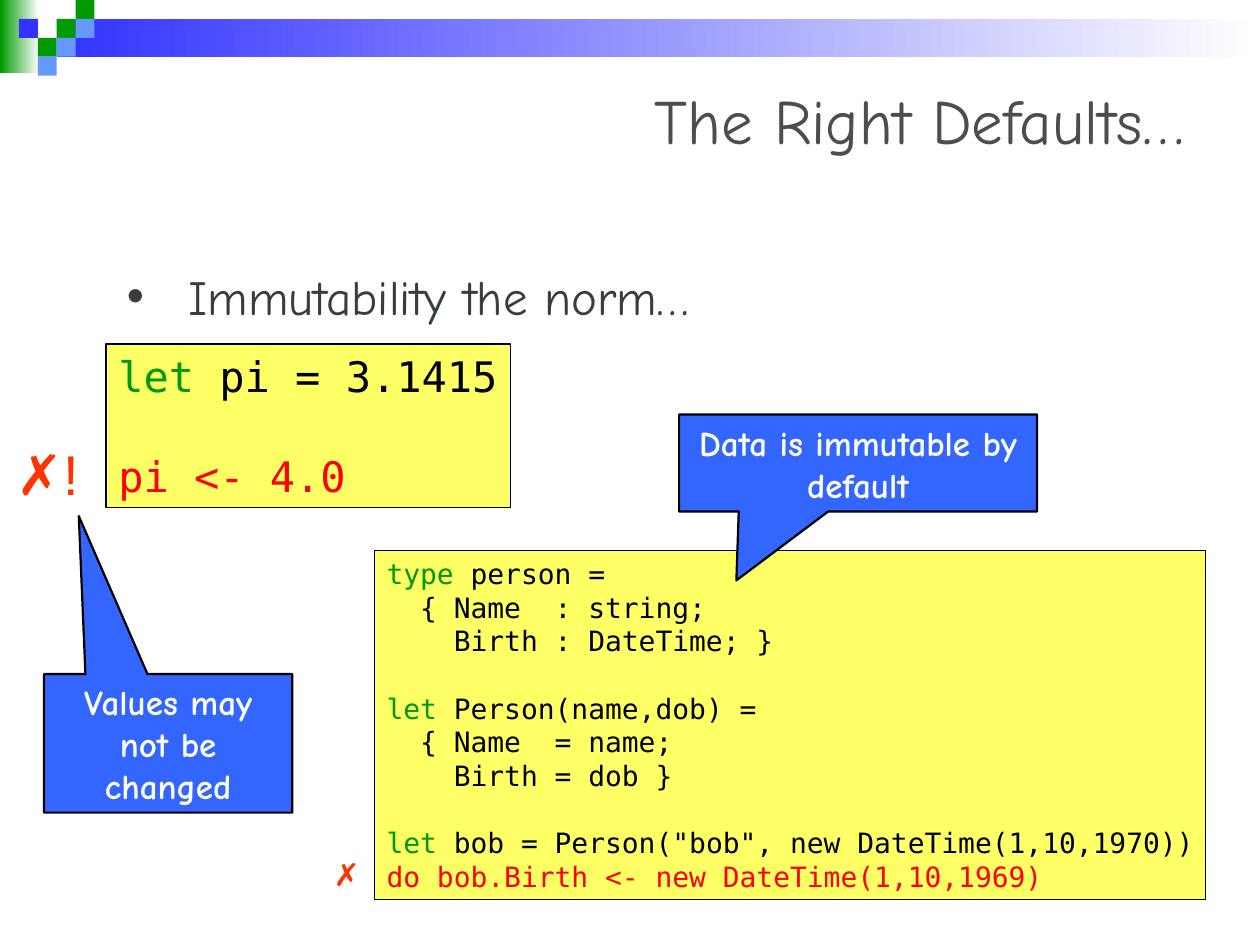
from lxml import etree
from pptx import Presentation
from pptx.dml.color import RGBColor
from pptx.enum.shapes import MSO_SHAPE
from pptx.enum.text import MSO_ANCHOR, MSO_AUTO_SIZE, PP_ALIGN
from pptx.oxml.ns import qn
from pptx.util import Inches, Pt

RECTANGLE = MSO_SHAPE.RECTANGLE
CALLOUT = MSO_SHAPE.RECTANGULAR_CALLOUT
LEFT, CENTER, RIGHT = PP_ALIGN.LEFT, PP_ALIGN.CENTER, PP_ALIGN.RIGHT
TOP, MIDDLE = MSO_ANCHOR.TOP, MSO_ANCHOR.MIDDLE
GROW, FIXED = MSO_AUTO_SIZE.SHAPE_TO_FIT_TEXT, MSO_AUTO_SIZE.NONE

# The page is a grid of one-inch columns and rows; boxes are (left, top, width, height)
COLUMNS, ROWS = 10, 7.5
HAND, MONO, SANS = "Comic Neue", "DejaVu Sans Mono", "Arial"
GREEN, BLUE, LIGHT_BLUE, WHITE = "009900", "3333FF", "6699FF", "FFFFFF"
BLACK, RED, MARK_RED = "000000", "FF0000", "FF3300"

PI_CODE = [
    [("let", GREEN), (" pi = 3.1415", BLACK)],
    [],
    [("pi <- 4.0", RED)],
]
PERSON_CODE = [
    [("type", GREEN), (" person =", BLACK)],
    [("  { Name  : string;", BLACK)],
    [("    Birth : DateTime; }", BLACK)],
    [],
    [("let", GREEN), (" Person(name,dob) =", BLACK)],
    [("  { Name  = name;", BLACK)],
    [("    Birth = dob }", BLACK)],
    [],
    [("let", GREEN), (' bob = Person("bob", new DateTime(1,10,1970))', BLACK)],
    [("do bob.Birth <- new DateTime(1,10,1969)", RED)],
]


def colour(value):
    return RGBColor.from_string(value)


def grid(box):
    return [Inches(length) for length in box]


def write(frame, lines, size, font, align=LEFT, bold=False, **settings):
    """Fill a text frame with lines, each a list of (text, colour) spans."""
    formats = {"word_wrap": True, "auto_size": GROW, "vertical_anchor": TOP,
               "margin_left": Inches(0.1), "margin_right": Inches(0.1),
               "margin_top": Inches(0.05), "margin_bottom": Inches(0.05)}
    for name, value in (formats | settings).items():
        setattr(frame, name, value)
    for index, line in enumerate(lines):
        para = frame.add_paragraph() if index else frame.paragraphs[0]
        para.alignment = align
        for text, tint in line:
            span = para.add_run()
            span.text = text
            for name, value in {"size": Pt(size), "name": font, "bold": bold}.items():
                setattr(span.font, name, value)
            span.font.color.rgb = colour(tint)
        if not line:  # an empty code line keeps the height of the others
            etree.SubElement(para._p, qn("a:endParaRPr"), sz=str(size * 100))


def add_block(page, box, fill, line_width=0, preset=RECTANGLE):
    block = page.shapes.add_shape(preset, *grid(box))
    block.shadow.inherit = False
    if isinstance(fill, tuple):
        block.fill.gradient()
        block.fill.gradient_angle = 0
        for stop, tint in zip(block.fill.gradient_stops, fill):
            stop.color.rgb = colour(tint)
    else:
        block.fill.solid()
        block.fill.fore_color.rgb = colour(fill)
    if line_width:
        block.line.color.rgb = colour(BLACK)
        block.line.width = Pt(line_width)
    else:
        block.line.fill.background()
    return block


def add_banner(page, box):
    """Fading bars with a mosaic of squares, four squares high."""
    left, top, width, height = box
    cell = height / 4
    add_block(page, (left, top, 0.31, 0.58), (GREEN, WHITE))
    add_block(page, (left + 3 * cell, top + cell, width - 3 * cell, 2 * cell), (BLUE, WHITE))
    mosaic = {(3, 1): GREEN, (4, 0): GREEN, (4, 1): LIGHT_BLUE, (2, 2): GREEN,
              (1, 1): BLUE, (3, 2): LIGHT_BLUE, (2, 3): LIGHT_BLUE}
    for (column, row), tint in mosaic.items():
        add_block(page, (left + column * cell, top + row * cell, cell, cell), tint)


def add_title(page, box, text):
    title = page.shapes.title
    title.left, title.top, title.width, title.height = grid(box)
    write(title.text_frame, [[(text, "4D4D4D")]], 36, HAND, RIGHT,
          vertical_anchor=MIDDLE, auto_size=FIXED)


def add_bullet(page, box, text):
    frame = page.shapes.add_textbox(*grid(box)).text_frame
    tint = "383D42"
    write(frame, [[(text, tint)]], 28, HAND, auto_size=FIXED)
    para = frame.paragraphs[0]
    para.line_spacing = 0.8
    props = para._p.get_or_add_pPr()
    indent = Inches(0.49)
    props.set("marL", str(indent))
    props.set("indent", str(-indent))
    bullet_colour = etree.SubElement(props, qn("a:buClr"))
    etree.SubElement(bullet_colour, qn("a:srgbClr"), val=tint)
    etree.SubElement(props, qn("a:buFont"), typeface=SANS)
    etree.SubElement(props, qn("a:buChar"), char="•")


def add_code(page, box, lines, size):
    """A code panel; the narrow right margin leaves room for its longest line."""
    panel = add_block(page, box, "FFFF66", 0.75)
    write(panel.text_frame, lines, size, MONO, word_wrap=False, auto_size=FIXED,
          margin_right=Inches(0.02))


def add_callout(page, box, text, tip):
    """A speech box; tip is its point, as shares of the box from its centre."""
    callout = add_block(page, box, "3366FF", 1.25, CALLOUT)
    for index, share in enumerate(tip):
        callout.adjustments[index] = share
    write(callout.text_frame, [[(text, WHITE)]], 20, HAND, CENTER, bold=True,
          vertical_anchor=MIDDLE)


def add_mark(page, box, text, size):
    frame = page.shapes.add_textbox(*grid(box)).text_frame
    write(frame, [[(text, MARK_RED)]], size, SANS)


def main():
    deck = Presentation()
    deck.slide_width, deck.slide_height = Inches(COLUMNS), Inches(ROWS)
    page = deck.slides.add_slide(deck.slide_layouts[5])

    # Heading
    add_banner(page, (0, 0, COLUMNS, 0.6))
    add_title(page, (0.5, 0.5, 9, 0.89), "The Right Defaults…")
    add_bullet(page, (0.91, 2.16, 8.27, 0.5), "Immutability the norm…")

    # Code samples with their remarks
    add_code(page, (0.84, 2.73, 3.21, 1.3), PI_CODE, 24)
    add_callout(page, (0.35, 5.35, 1.97, 1.1), "Values may not be changed", (-0.36, -1.64))
    add_code(page, (2.97, 4.37, 6.6, 2.77), PERSON_CODE, 16)
    add_callout(page, (5.39, 3.29, 2.84, 0.77), "Data is immutable by default", (-0.34, 1.21))

    # Marks beside the lines that fail
    add_mark(page, (2.55, 6.74, 0.37, 0.4), "✗", 18)
    add_mark(page, (0.03, 3.44, 0.77, 0.64), "✗!", 32)

    deck.save("out.pptx")


if __name__ == "__main__":
    main()
